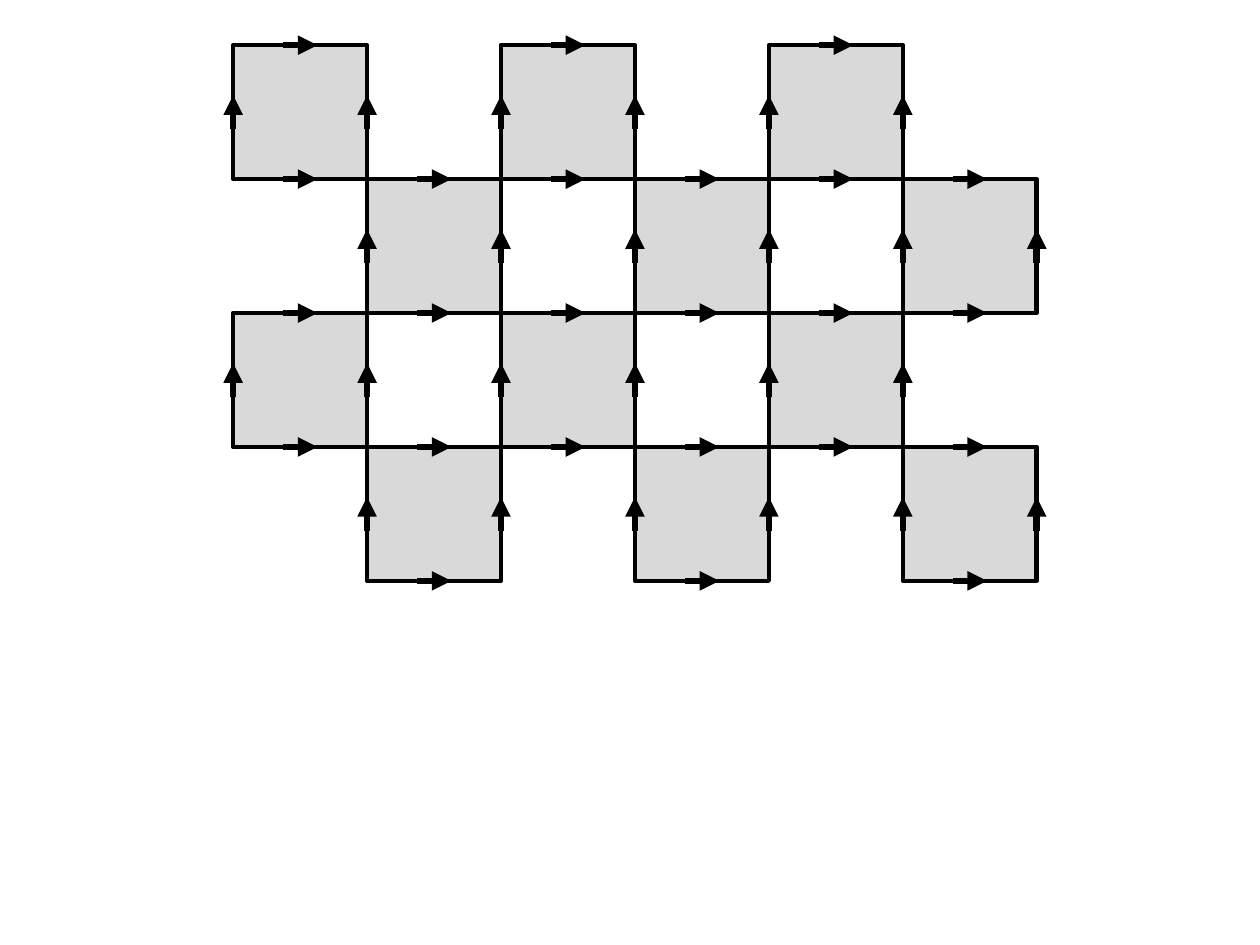
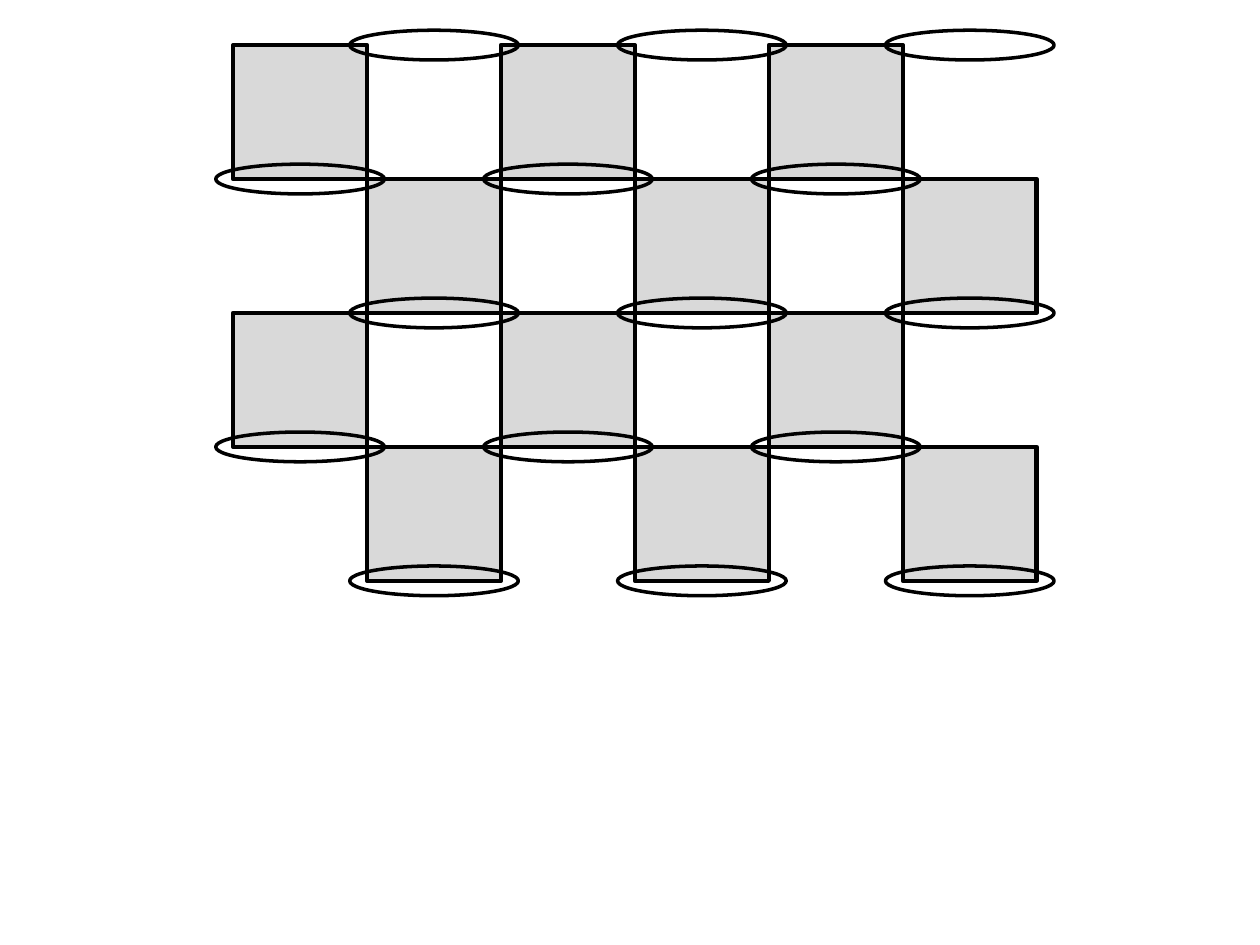
from lxml.etree import SubElement
from pptx import Presentation
from pptx.dml.color import RGBColor
from pptx.enum.shapes import MSO_CONNECTOR, MSO_SHAPE
from pptx.oxml.ns import qn
from pptx.util import Cm, Pt

COLORS = {"square": "D9D9D9", "line": "000000"}
ROWS, COLUMNS = 4, 6
SIDE = 2.7
BOARD_LEFT, BOARD_TOP = 4.7, 0.91
ARROW_START, ARROW_END = 1.01, 1.7
OVAL_WIDTH, OVAL_HEIGHT = 3.4, 0.6

# Left and top of every shaded square, in cm
SQUARES = [
    (BOARD_LEFT + column * SIDE, BOARD_TOP + row * SIDE)
    for row in range(ROWS)
    for column in range(row % 2, COLUMNS, 2)
]


def set_line(line, width):
    line.color.rgb = RGBColor.from_string(COLORS["line"])
    line.width = Pt(width)


def add_outlined_shape(slide, kind, left, top, width, height, line_width, fill=None):
    shape = slide.shapes.add_shape(kind, Cm(left), Cm(top), Cm(width), Cm(height))
    shape.shadow.inherit = False
    if fill:
        shape.fill.solid()
        shape.fill.fore_color.rgb = RGBColor.from_string(fill)
    else:
        shape.fill.background()
    set_line(shape.line, line_width)


def add_arrow(slide, start_x, start_y, end_x, end_y):
    arrow = slide.shapes.add_connector(
        MSO_CONNECTOR.STRAIGHT, Cm(start_x), Cm(start_y), Cm(end_x), Cm(end_y)
    )
    set_line(arrow.line, 3.75)
    SubElement(arrow.line._get_or_add_ln(), qn("a:tailEnd"), type="triangle")
    SubElement(arrow._element.spPr, qn("a:effectLst"))


def add_checkerboard(slide):
    for left, top in SQUARES:
        add_outlined_shape(
            slide, MSO_SHAPE.RECTANGLE, left, top, SIDE, SIDE, 2.5, COLORS["square"]
        )


def add_edge_arrows(slide, left, top):
    """Point right along the top and bottom edges, and up along both sides."""
    for y in (top, top + SIDE):
        add_arrow(slide, left + ARROW_START, y, left + ARROW_END, y)
    for x in (left, left + SIDE):
        add_arrow(slide, x, top + ARROW_END, x, top + ARROW_START)


def add_edge_oval(slide, left, edge_y):
    """Centre an oval on the horizontal edge that starts at left."""
    add_outlined_shape(
        slide,
        MSO_SHAPE.OVAL,
        left + (SIDE - OVAL_WIDTH) / 2,
        edge_y - OVAL_HEIGHT / 2,
        OVAL_WIDTH,
        OVAL_HEIGHT,
        2,
    )


def build_arrow_slide(slide):
    add_checkerboard(slide)
    for left, top in SQUARES:
        add_edge_arrows(slide, left, top)


def build_oval_slide(slide):
    add_checkerboard(slide)
    for left, top in SQUARES:
        add_edge_oval(slide, left, top + SIDE)
    for column in range(1, COLUMNS, 2):
        add_edge_oval(slide, BOARD_LEFT + column * SIDE, BOARD_TOP)


def main():
    presentation = Presentation()
    presentation.slide_width, presentation.slide_height = Cm(25.4), Cm(19.05)
    for build_slide in (build_arrow_slide, build_oval_slide):
        build_slide(presentation.slides.add_slide(presentation.slide_layouts[6]))
    presentation.save("out.pptx")


if __name__ == "__main__":
    main()
